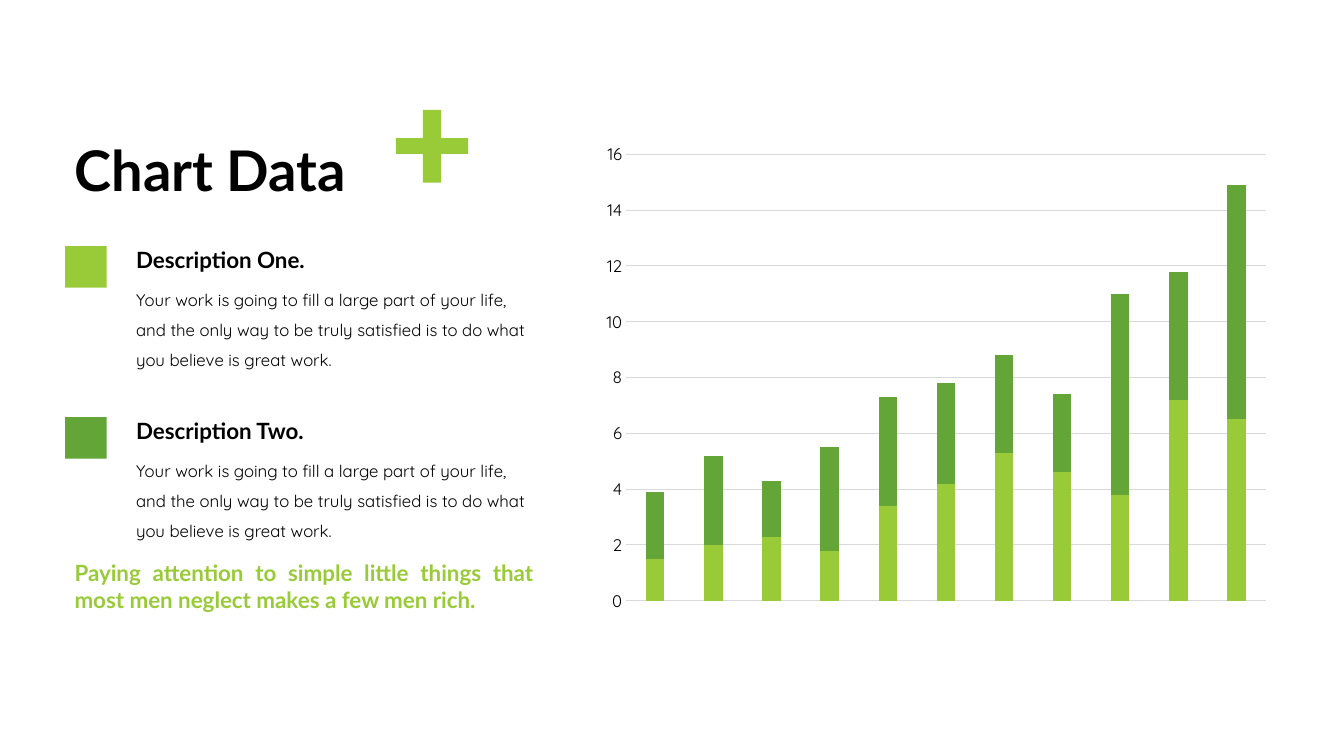
from dataclasses import dataclass

from pptx import Presentation
from pptx.chart.data import CategoryChartData
from pptx.dml.color import RGBColor
from pptx.enum.chart import XL_CHART_TYPE, XL_TICK_MARK
from pptx.enum.shapes import MSO_SHAPE
from pptx.enum.text import MSO_ANCHOR, PP_ALIGN
from pptx.util import Cm, Pt


@dataclass(frozen=True)
class Theme:
    lime: RGBColor = RGBColor(0x99, 0xCB, 0x38)
    green: RGBColor = RGBColor(0x63, 0xA5, 0x37)
    black: RGBColor = RGBColor(0, 0, 0)
    grid: RGBColor = RGBColor(0xD9, 0xD9, 0xD9)
    heading_font: str = "Lato"
    body_font: str = "Quicksand"
    title_size: int = 40
    heading_size: int = 16
    body_size: int = 12


THEME = Theme()
DESCRIPTION_TEXT = (
    "Your work is going to fill a large part of your life, and the only way "
    "to be truly satisfied is to do what you believe is great work."
)
DESCRIPTIONS = [("Description One.", THEME.lime), ("Description Two.", THEME.green)]
DESCRIPTION_PITCH = 4.31
SERIES = [
    ("Series 1", THEME.lime, (1.5, 2, 2.3, 1.8, 3.4, 4.2, 5.3, 4.6, 3.8, 7.2, 6.5)),
    ("Series 2", THEME.green, (2.4, 3.2, 2, 3.7, 3.9, 3.6, 3.5, 2.8, 7.2, 4.6, 8.4)),
]


def style_font(font, name, size, color, bold=False):
    font.name = name
    font.size = Pt(size)
    font.bold = bold
    font.color.rgb = color


def fill_plain(shape, color):
    shape.shadow.inherit = False
    shape.fill.solid()
    shape.fill.fore_color.rgb = color
    shape.line.fill.background()


def add_title(slide, text):
    title = slide.shapes.title
    title.left, title.top, title.width, title.height = Cm(1.63), Cm(2.54), Cm(12.9), Cm(3.68)
    text_frame = title.text_frame
    text_frame.text = text
    text_frame.vertical_anchor = MSO_ANCHOR.MIDDLE
    paragraph = text_frame.paragraphs[0]
    paragraph.alignment = PP_ALIGN.LEFT
    paragraph.line_spacing = 0.9
    style_font(paragraph.runs[0].font, THEME.heading_font, THEME.title_size, THEME.black, True)


def add_text(slide, text, left, top, width, height, alignment=PP_ALIGN.LEFT, line_spacing=1.0):
    shape = slide.shapes.add_textbox(Cm(left), Cm(top), Cm(width), Cm(height))
    shape.text_frame.word_wrap = True
    shape.text_frame.text = text
    paragraph = shape.text_frame.paragraphs[0]
    paragraph.alignment = alignment
    paragraph.line_spacing = line_spacing
    return paragraph.runs[0].font


def add_heading(slide, text, left, top, width, height, color, alignment=PP_ALIGN.LEFT):
    font = add_text(slide, text, left, top, width, height, alignment)
    style_font(font, THEME.heading_font, THEME.heading_size, color, True)


def add_description(slide, heading, color, top):
    marker = slide.shapes.add_shape(MSO_SHAPE.RECTANGLE, Cm(1.64), Cm(top + 0.12), Cm(1.05), Cm(1.05))
    fill_plain(marker, color)
    add_heading(slide, heading, 3.18, top, 5.3, 0.94, THEME.black)
    font = add_text(slide, DESCRIPTION_TEXT, 3.18, top + 0.83, 10.54, 2.5, line_spacing=1.5)
    style_font(font, THEME.body_font, THEME.body_size, THEME.black)


def add_plus(slide):
    left, stem_left, stem_right, right = (Cm(x) for x in (9.98, 10.66, 11.12, 11.8))
    top, bar_top, bar_bottom, bottom = (Cm(y) for y in (2.77, 3.48, 3.88, 4.6))
    builder = slide.shapes.build_freeform(stem_left, top)
    builder.add_line_segments([
        (stem_right, top), (stem_right, bar_top), (right, bar_top),
        (right, bar_bottom), (stem_right, bar_bottom), (stem_right, bottom),
        (stem_left, bottom), (stem_left, bar_bottom), (left, bar_bottom),
        (left, bar_top), (stem_left, bar_top),
    ], close=True)
    fill_plain(builder.convert_to_shape(), THEME.lime)


def add_stacked_chart(slide):
    chart_data = CategoryChartData()
    chart_data.categories = [str(number + 1) for number in range(len(SERIES[0][2]))]
    for name, _, values in SERIES:
        chart_data.add_series(name, values)
    chart = slide.shapes.add_chart(
        XL_CHART_TYPE.COLUMN_STACKED, Cm(14.94), Cm(3.38), Cm(17.3), Cm(12.27), chart_data
    ).chart
    chart.has_legend = False
    chart.has_title = False
    style_font(chart.font, THEME.body_font, THEME.body_size, THEME.black)

    plot = chart.plots[0]
    plot.gap_width = 215
    plot.overlap = 100
    plot.vary_by_categories = False
    for series, (_, color, _) in zip(plot.series, SERIES):
        series.format.fill.solid()
        series.format.fill.fore_color.rgb = color

    chart.category_axis.visible = False
    value_axis = chart.value_axis
    value_axis.minimum_scale = 0
    value_axis.maximum_scale = 16
    value_axis.major_unit = 2
    value_axis.major_tick_mark = XL_TICK_MARK.NONE
    value_axis.minor_tick_mark = XL_TICK_MARK.NONE
    value_axis.format.line.fill.background()
    grid_line = value_axis.major_gridlines.format.line
    grid_line.color.rgb = THEME.grid
    grid_line.width = Pt(0.75)


def main():
    presentation = Presentation()
    presentation.slide_width = Cm(33.87)
    presentation.slide_height = Cm(19.05)
    slide = presentation.slides.add_slide(presentation.slide_layouts[5])
    add_title(slide, "Chart Data")
    add_plus(slide)
    add_stacked_chart(slide)
    for index, (heading, color) in enumerate(DESCRIPTIONS):
        add_description(slide, heading, color, 6.08 + index * DESCRIPTION_PITCH)
    add_heading(
        slide, "Paying attention to simple little things that most men neglect makes a few men rich.",
        1.63, 13.97, 12.07, 1.63, THEME.lime, PP_ALIGN.JUSTIFY,
    )
    presentation.save("out.pptx")


if __name__ == "__main__":
    main()
